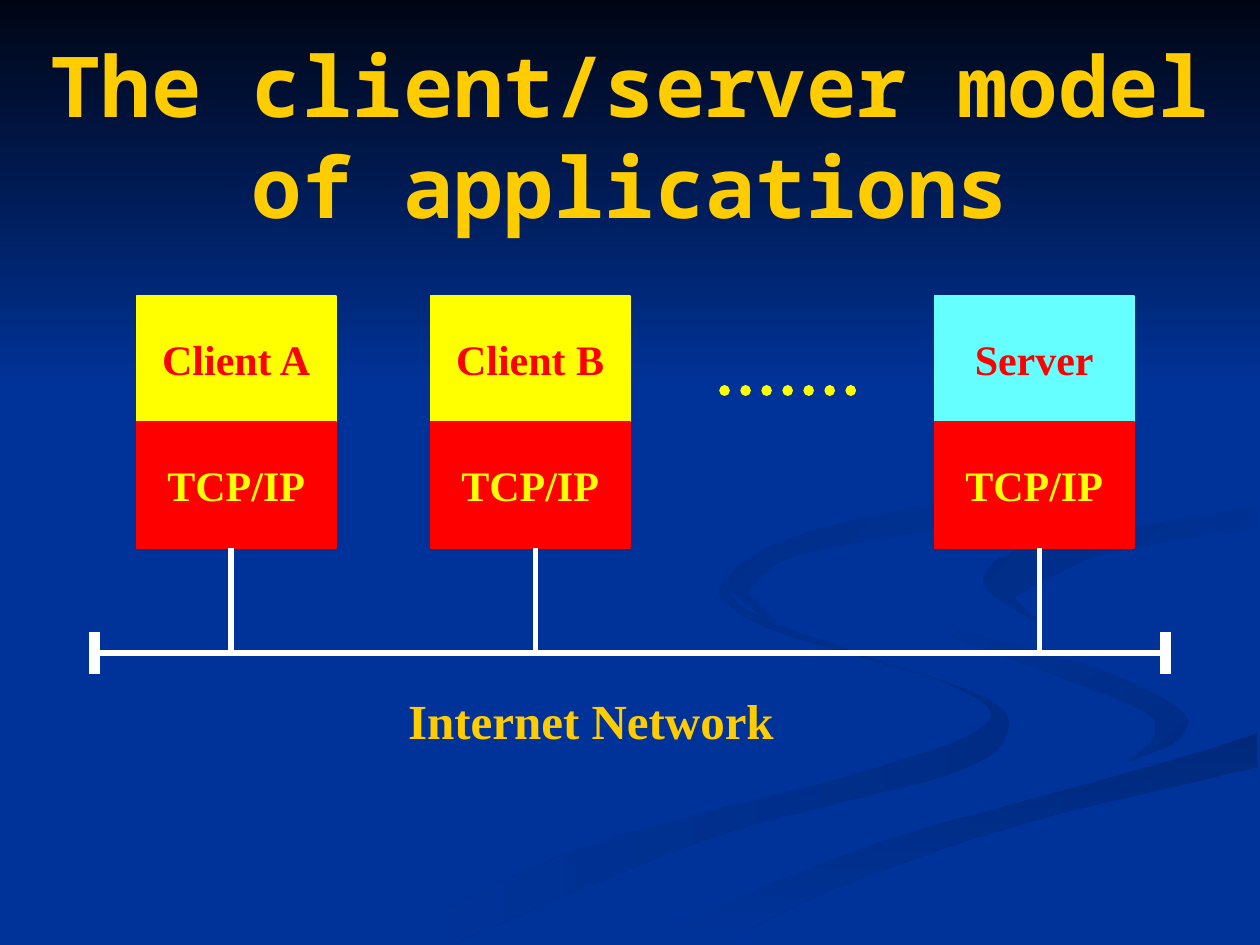
import dataclasses
import typing

import lxml.etree
import pptx
import pptx.dml.color
import pptx.enum.dml
import pptx.enum.shapes
import pptx.enum.text
import pptx.oxml.ns
import pptx.util

COLS, ROWS = 120, 90
CELL = pptx.util.Inches(10) // COLS
HUNDREDTH = pptx.util.Inches(0.01)
CURVE_STEPS = 6
Points = tuple[tuple[float, float], ...]


@dataclasses.dataclass(frozen=True)
class Theme:
    blue: str = "003399"
    night: str = "000514"
    gold: str = "FFCC00"
    yellow: str = "FFFF00"
    red: str = "FF0000"
    cyan: str = "66FFFF"
    white: str = "FFFFFF"
    swirl: str = "002C85"
    deep_swirl: str = "00297C"
    title_font: str = "Noto Sans Mono"
    body_font: str = "Times New Roman"
    title_pt: int = 48
    caption_pt: int = 28
    label_pt: int = 24
    thin_pt: int = 3
    thick_pt: int = 6


class Box(typing.NamedTuple):
    col: float
    row: float
    cols: float
    rows: float


class Host(typing.NamedTuple):
    name: str
    col: int
    drop_col: int
    fill: str


class Wire(typing.NamedTuple):
    col1: float
    row1: float
    col2: float
    row2: float
    color: str
    pt: int
    dotted: bool = False


class Ribbon(typing.NamedTuple):
    start: str
    end: str
    angle: int
    outward: Points
    back: Points


T = Theme()
HOST_COLS, LAYER_ROWS, HOST_ROW = 19, 12, 28.2
STACK_END = HOST_ROW + 2 * LAYER_ROWS
BUS_ROW, BUS_LEFT, BUS_RIGHT = 62.2, 9, 111

HOSTS = (
    Host("Client A", 13, 22, T.yellow),
    Host("Client B", 41, 51, T.yellow),
    Host("Server", 89, 99, T.cyan),
)
WIRES = (
    Wire(69, 37.2, 82, 37.2, T.yellow, T.thick_pt, True),
    Wire(BUS_LEFT, BUS_ROW, BUS_RIGHT, BUS_ROW, T.white, T.thin_pt),
    *(Wire(c, BUS_ROW - 2, c, BUS_ROW + 2, T.white, T.thick_pt) for c in (BUS_LEFT, BUS_RIGHT)),
    *(Wire(h.drop_col, STACK_END, h.drop_col, BUS_ROW, T.white, T.thin_pt) for h in HOSTS),
)
RIBBONS = (
    Ribbon(T.swirl, T.blue, 180,
           ((575, 459), (594, 485), (682, 519), (781, 553), (800, 581), (756, 614), (564, 665), (361, 749)),
           ((300, 749), (458, 674), (684, 613), (783, 574), (752, 543), (611, 499), (570, 472))),
    Ribbon(T.swirl, T.blue, 225,
           ((724, 464), (758, 498), (870, 530), (935, 557), (937, 586), (894, 605)),
           ((914, 589), (911, 567), (838, 536), (755, 505))),
    Ribbon(T.deep_swirl, T.blue, 90,
           ((503, 749), (569, 719), (696, 669), (867, 620), (998, 581)),
           ((998, 609), (821, 651), (670, 702), (571, 749))),
    Ribbon(T.blue, T.blue, 0,
           ((477, 749), (663, 668), (902, 603), (943, 570), (870, 530), (759, 498), (725, 464),
            (770, 427), (999, 387)),
           ((999, 402), (822, 434), (781, 463), (817, 492), (999, 538), (999, 581), (696, 669), (503, 749))),
    Ribbon(T.blue, T.swirl, 225,
           ((826, 496), (781, 463), (821, 433), (998, 402)),
           ((998, 420), (878, 439), (805, 474))),
    Ribbon(T.blue, T.swirl, 225,
           ((762, 233), (846, 279), (889, 335), (842, 378), (649, 420), (578, 460), (622, 500)),
           ((593, 470), (635, 440), (786, 412), (876, 378), (890, 324), (843, 275))),
)


def rgb(color: str) -> pptx.dml.color.RGBColor:
    """Turn a hex string into a colour."""
    return pptx.dml.color.RGBColor.from_string(color)


def place(box: Box) -> tuple[int, ...]:
    """Turn grid cells into lengths."""
    return tuple(round(v * CELL) for v in box)


def curve(knots: Points) -> list[tuple[float, float]]:
    """Join knots with a Catmull-Rom curve."""
    padded = (knots[0], *knots, knots[-1])
    points = []
    for quad in zip(padded, padded[1:], padded[2:], padded[3:]):
        for step in range(CURVE_STEPS):
            t = step / CURVE_STEPS
            points.append(tuple(
                b + t * (c - a) / 2 + t**2 * (2 * a - 5 * b + 4 * c - d) / 2 + t**3 * (3 * b - a - 3 * c + d) / 2
                for a, b, c, d in zip(*quad)))
    return [*points, knots[-1]]


def shade(sp, start: str, end: str, angle: int) -> None:
    """Fill a borderless shape with a clockwise-angled gradient."""
    sp.shadow.inherit = False
    sp.line.fill.background()
    sp.fill.gradient()
    sp.fill.gradient_angle = (360 - angle) % 360
    for stop, color in zip(sp.fill.gradient_stops, (start, end)):
        stop.color.rgb = rgb(color)


def add_ribbon(s, ribbon: Ribbon) -> None:
    """Draw one background swirl."""
    points = curve(ribbon.outward) + curve(ribbon.back)
    fb = s.shapes.build_freeform(*points[0], scale=HUNDREDTH)
    fb.add_line_segments(points[1:], close=True)
    shade(fb.convert_to_shape(), ribbon.start, ribbon.end, ribbon.angle)


def write(sp, text: str, font: str, pt: int, color: str, centred: bool = True, wrap: bool = False) -> None:
    """Put one bold run into a shape."""
    tf = sp.text_frame
    tf.word_wrap = wrap
    tf.vertical_anchor = pptx.enum.text.MSO_ANCHOR.MIDDLE if centred else pptx.enum.text.MSO_ANCHOR.TOP
    p = tf.paragraphs[0]
    p.alignment = pptx.enum.text.PP_ALIGN.CENTER if centred else pptx.enum.text.PP_ALIGN.LEFT
    r = p.add_run()
    r.text = text
    r.font.name, r.font.size, r.font.bold = font, pptx.util.Pt(pt), True
    r.font.color.rgb = rgb(color)


def add_layer(s, box: Box, text: str, fill: str, color: str) -> None:
    """Draw one labelled layer of a host."""
    sp = s.shapes.add_shape(pptx.enum.shapes.MSO_SHAPE.RECTANGLE, *place(box))
    sp.shadow.inherit = False
    sp.fill.solid()
    sp.fill.fore_color.rgb = sp.line.color.rgb = rgb(fill)
    sp.line.width = pptx.util.Pt(0.75)
    write(sp, text, T.body_font, T.label_pt, color)


def add_host(s, host: Host) -> None:
    """Stack an application on its protocol layer."""
    add_layer(s, Box(host.col, HOST_ROW, HOST_COLS, LAYER_ROWS), host.name, host.fill, T.red)
    add_layer(s, Box(host.col, HOST_ROW + LAYER_ROWS, HOST_COLS, LAYER_ROWS), "TCP/IP", T.red, T.yellow)


def add_wire(s, wire: Wire) -> None:
    """Draw one straight line."""
    ends = (round(v * CELL) for v in wire[:4])
    sp = s.shapes.add_connector(pptx.enum.shapes.MSO_CONNECTOR.STRAIGHT, *ends)
    sp.line.color.rgb = rgb(wire.color)
    sp.line.width = pptx.util.Pt(wire.pt)
    if wire.dotted:
        sp.line.dash_style = pptx.enum.dml.MSO_LINE.ROUND_DOT
        sp.line._ln.set("cap", "rnd")
    lxml.etree.SubElement(sp._element.spPr, pptx.oxml.ns.qn("a:effectLst"))


def main() -> None:
    """Build the slide."""
    prs = pptx.Presentation()
    prs.slide_width, prs.slide_height = COLS * CELL, ROWS * CELL
    s = prs.slides.add_slide(prs.slide_layouts[6])
    s.background.fill.solid()
    s.background.fill.fore_color.rgb = rgb(T.blue)
    for ribbon in RIBBONS:
        add_ribbon(s, ribbon)
    sky = s.shapes.add_shape(pptx.enum.shapes.MSO_SHAPE.RECTANGLE, *place(Box(0, 0, COLS, 37)))
    shade(sky, T.night, T.blue, 90)
    title = s.shapes.add_textbox(*place(Box(0, 3.6, COLS, 18.4)))
    write(title, "The client/server model of applications", T.title_font, T.title_pt, T.gold, wrap=True)
    for host in HOSTS:
        add_host(s, host)
    for wire in WIRES:
        add_wire(s, wire)
    caption = s.shapes.add_textbox(*place(Box(37.7, 65.2, 43.7, 6.8)))
    write(caption, "Internet Network", T.body_font, T.caption_pt, T.gold, centred=False)
    prs.save("out.pptx")


if __name__ == "__main__":
    main()
